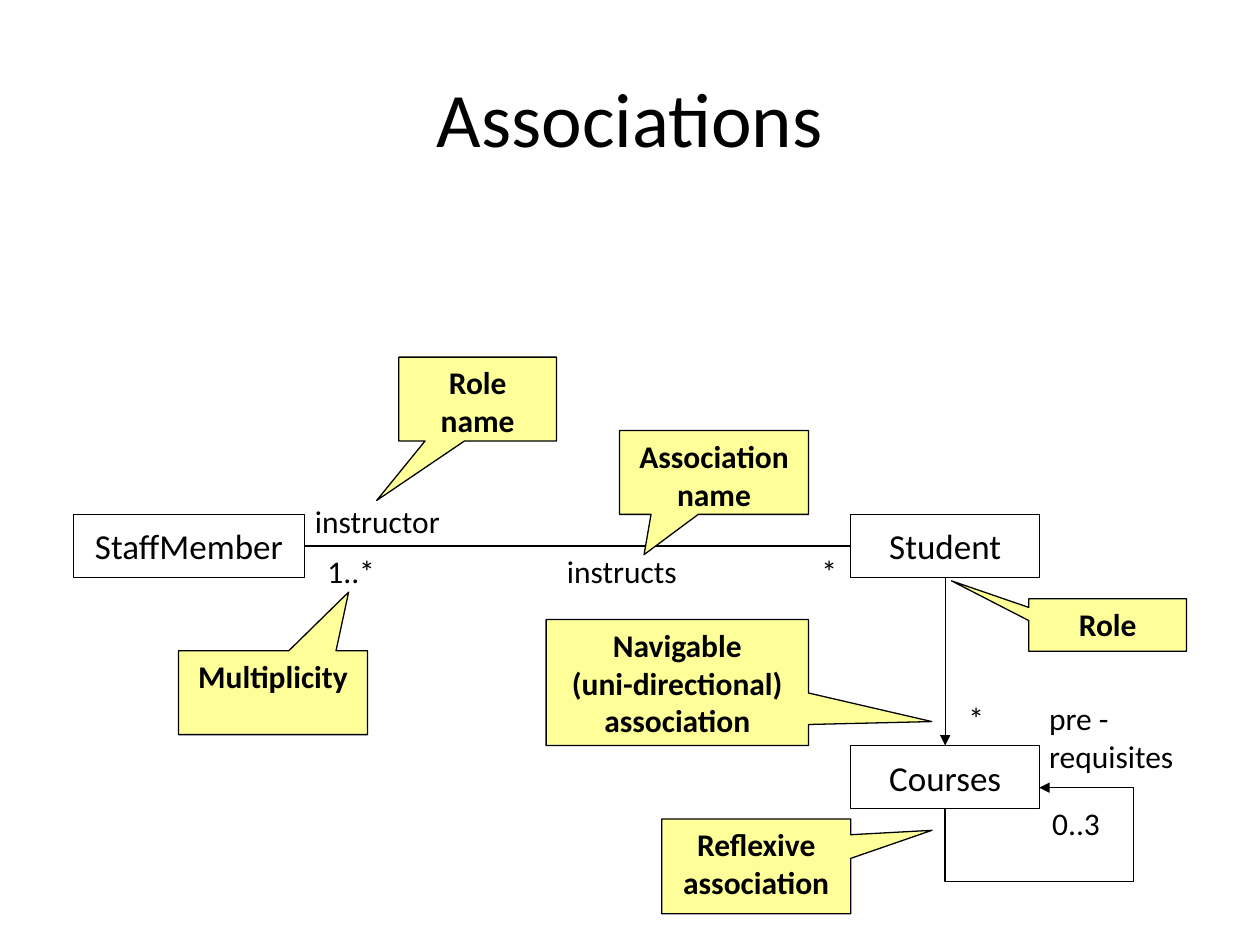
from lxml.etree import SubElement
from pptx import Presentation
from pptx.dml.color import RGBColor
from pptx.enum.shapes import MSO_CONNECTOR, MSO_SHAPE
from pptx.enum.text import MSO_ANCHOR, MSO_AUTO_SIZE, PP_ALIGN
from pptx.oxml.ns import qn
from pptx.util import Cm, Pt

BLACK = RGBColor(0, 0, 0)
YELLOW = RGBColor(0xFF, 0xFF, 0x99)

deck = Presentation()
deck.slide_width, deck.slide_height = Cm(25.4), Cm(19.05)
slide = deck.slides.add_slide(deck.slide_layouts[6])
shapes = slide.shapes


def write(shape, text, size, align=PP_ALIGN.CENTER, bold=False, wrap=True,
          anchor=MSO_ANCHOR.TOP):
    frame = shape.text_frame
    frame.word_wrap = wrap
    frame.vertical_anchor = anchor
    para = frame.paragraphs[0]
    para.alignment = align
    for i, line in enumerate(text.split("\n")):
        if i:
            para.add_line_break()
        run = para.add_run()
        run.text = line
        run.font.name, run.font.size = "Calibri", Pt(size)
        run.font.bold = bold
        run.font.color.rgb = BLACK


def ink(line, arrow=False):
    """Style a connector as a thin black line without shadow."""
    line.line.color.rgb = BLACK
    line.line.width = Pt(0.75)
    if arrow:
        SubElement(line.line._get_or_add_ln(), qn("a:tailEnd"), type="triangle")
    SubElement(line._element.spPr, qn("a:effectLst"))


title = shapes.add_textbox(Cm(1.27), Cm(0.76), Cm(22.86), Cm(3.18))
write(title, "Associations", 44, anchor=MSO_ANCHOR.MIDDLE)

# Classes
boxes = {}
for name, x, y, w in [
    ("StaffMember", 1.48, 10.37, 4.66),
    ("Student", 17.15, 10.37, 3.81),
    ("Courses", 17.15, 15.03, 3.81),
]:
    box = shapes.add_shape(MSO_SHAPE.RECTANGLE, Cm(x), Cm(y), Cm(w), Cm(1.27))
    box.shadow.inherit = False
    box.fill.background()
    box.line.color.rgb = BLACK
    box.line.width = Pt(0.75)
    write(box, name, 20, wrap=False, anchor=MSO_ANCHOR.MIDDLE)
    boxes[name] = box

# Associations between classes
for start, out, end, into, arrow in [
    ("StaffMember", 3, "Student", 1, False),
    ("Student", 2, "Courses", 0, True),
]:
    link = shapes.add_connector(MSO_CONNECTOR.STRAIGHT, 0, 0, 0, 0)
    link.begin_connect(boxes[start], out)
    link.end_connect(boxes[end], into)
    ink(link, arrow)

# Reflexive loop: a four-part elbow turned by a quarter
loop = shapes.add_connector(MSO_CONNECTOR.ELBOW,
                            Cm(20.21), Cm(17.04), Cm(19.79), Cm(15.14))
loop._element.spPr.find(qn("a:xfrm")).set("rot", "5400000")
geom = loop._element.spPr.find(qn("a:prstGeom"))
geom.set("prst", "bentConnector4")
guides = geom.find(qn("a:avLst"))
for name, value in [("adj1", -350000), ("adj2", 200000)]:
    SubElement(guides, qn("a:gd"), name=name, fmla=f"val {value}")
ink(loop, True)

# Role names and multiplicities
for text, x, y, w, h in [
    ("1..*", 6.35, 11.01, 1.48, 1.01),
    ("*", 16.31, 11.01, 0.81, 1.01),
    ("instructs", 11.18, 11.01, 2.72, 1.01),
    ("instructor", 6.1, 9.99, 3.02, 1.01),
    ("pre -\nrequisites", 20.9, 13.97, 3.02, 1.77),
    ("0..3", 20.96, 16.09, 1.48, 1.01),
    ("*", 19.27, 13.97, 0.81, 1.01),
]:
    label = shapes.add_textbox(Cm(x), Cm(y), Cm(w), Cm(h))
    write(label, text, 18, align=PP_ALIGN.LEFT, wrap=False)
    label.text_frame.auto_size = MSO_AUTO_SIZE.SHAPE_TO_FIT_TEXT

# Callouts, each with the place of its tip
for text, x, y, w, h, tip in [
    ("Association name", 12.49, 8.68, 3.81, 1.69, (-0.37, 0.98)),
    ("Role name", 8.04, 7.2, 3.18, 1.69, (-0.64, 1.21)),
    ("Multiplicity", 3.6, 13.12, 3.81, 1.69, (0.4, -1.2)),
    ("Navigable\n(uni-directional) association", 11.01, 12.49, 5.29, 2.54,
     (0.97, 0.31)),
    ("Reflexive association", 13.34, 16.51, 3.81, 1.91, (0.93, -0.38)),
    ("Role", 20.74, 12.07, 3.18, 1.06, (-0.99, -0.84)),
]:
    note = shapes.add_shape(MSO_SHAPE.RECTANGULAR_CALLOUT,
                            Cm(x), Cm(y), Cm(w), Cm(h))
    note.adjustments[0], note.adjustments[1] = tip
    note.shadow.inherit = False
    note.fill.solid()
    note.fill.fore_color.rgb = YELLOW
    note.line.color.rgb = BLACK
    note.line.width = Pt(0.75)
    write(note, text, 18, bold=True)

deck.save("out.pptx")
